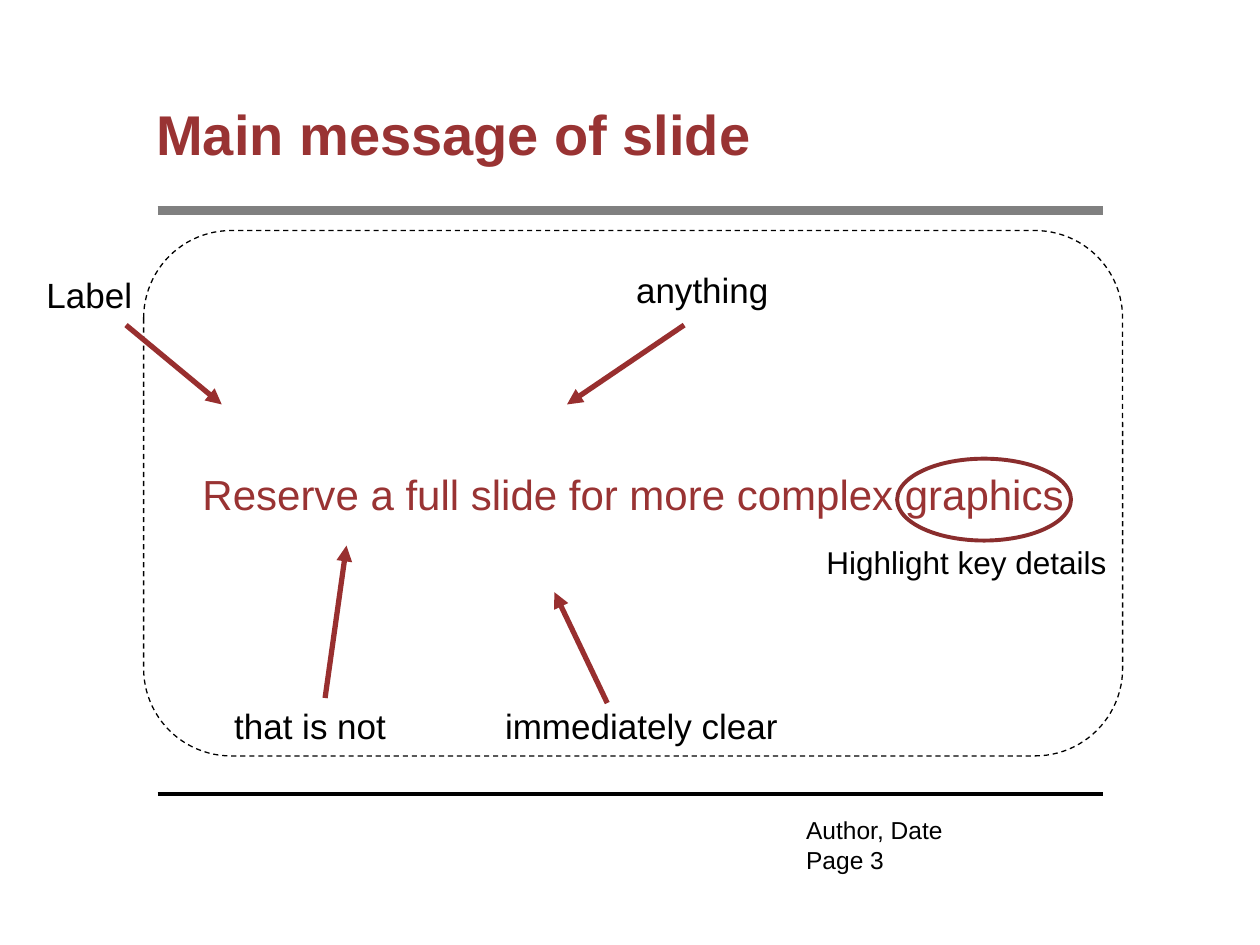
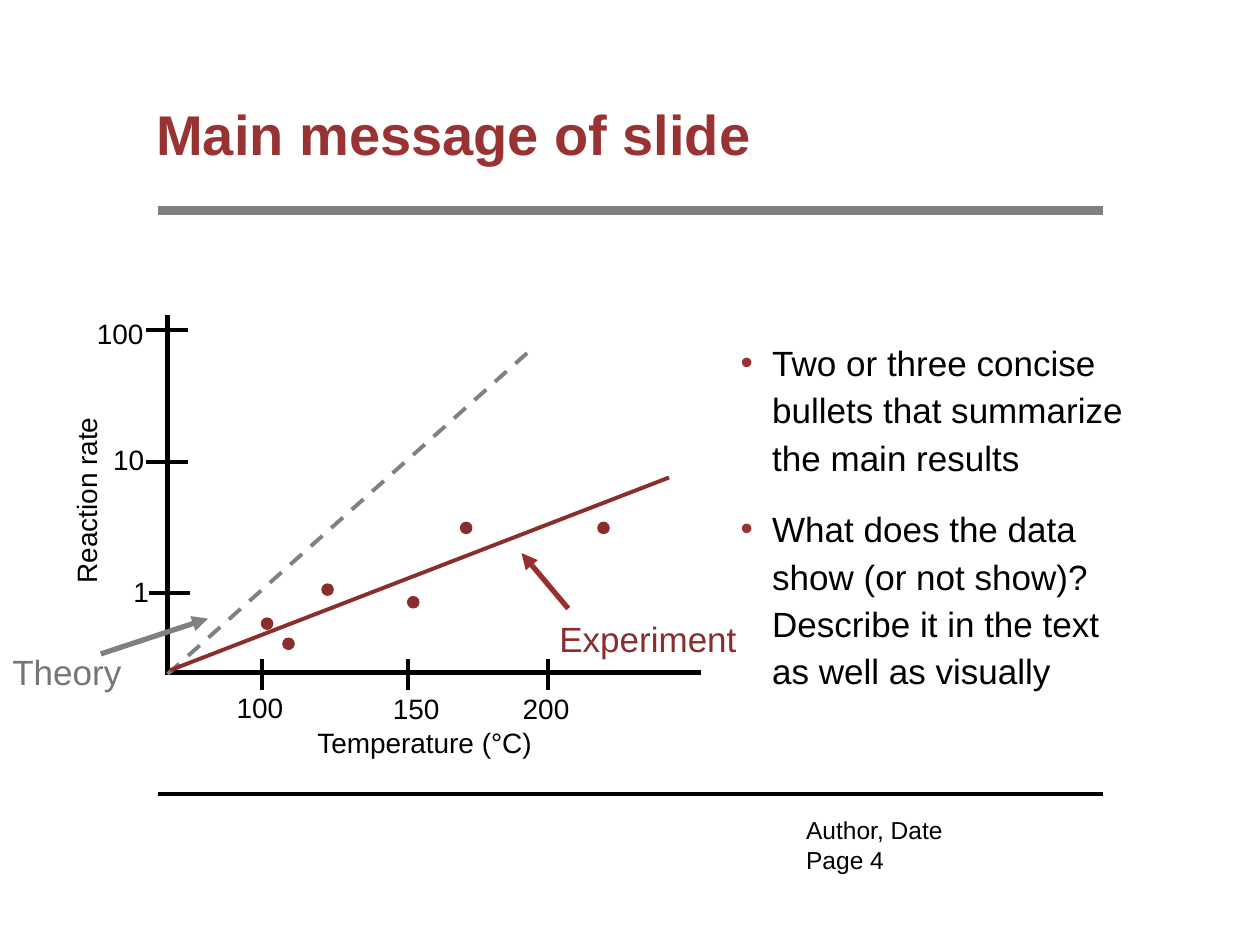
from dataclasses import dataclass

from lxml.etree import SubElement
from pptx import Presentation
from pptx.dml.color import RGBColor
from pptx.enum.dml import MSO_LINE_DASH_STYLE as Dash
from pptx.enum.shapes import MSO_CONNECTOR as Connector, MSO_SHAPE as Shape
from pptx.enum.text import MSO_ANCHOR as Anchor, MSO_AUTO_SIZE as AutoSize, PP_ALIGN as Align
from pptx.oxml.ns import qn
from pptx.util import Inches, Pt


@dataclass(frozen=True)
class Theme:
    """Colours, font and sizes shared by all slides."""
    font: str = "Arial"
    black: str = "000000"
    white: str = "FFFFFF"
    accent: str = "993333"
    arrow: str = "982F2F"
    detail: str = "8A2D2D"
    grey: str = "808080"
    grey_text: str = "767676"
    title_size: int = 32
    message_size: int = 24
    body_size: int = 20
    caption_size: int = 18
    axis_size: int = 16
    footer_size: int = 14
    heavy: float = 3
    medium: float = 2.25


class Deck:
    """Holds the presentation, its theme and the slide being drawn."""

    def __init__(self, theme):
        """Start an empty 10 by 7.5 inch presentation."""
        self.theme = theme
        self.presentation = Presentation()
        self.presentation.slide_width = Inches(10)
        self.presentation.slide_height = Inches(7.5)
        self.slide = self.canvas = None

    def new_slide(self, title, page):
        """Add a slide with its title, two rules and footer."""
        theme = self.theme
        layout = self.presentation.slide_layouts[5]
        self.slide = self.presentation.slides.add_slide(layout)
        self.canvas = self.slide.shapes
        self.line((1.25, 6.3), (8.75, 6.3), theme.black, 2)
        self.line((1.25, 1.67), (8.75, 1.67), theme.grey, 5)
        self.paragraphs((6.3, 6.42, 2.86, 0.5), ["Author, Date", f"Page {page}"],
                        theme.footer_size)
        self.title(title)

    def title(self, wording):
        """Place and format the title placeholder."""
        heading = self.slide.shapes.title
        heading.left, heading.top, heading.width, heading.height = map(
            Inches, (1.14, 0.67, 7.77, 0.75))
        frame = heading.text_frame
        frame.auto_size = AutoSize.NONE
        frame.vertical_anchor = Anchor.MIDDLE
        paragraph = frame.paragraphs[0]
        paragraph.alignment = Align.LEFT
        paragraph.line_spacing = Pt(40)
        self.run(paragraph, wording, self.theme.title_size, self.theme.accent, bold=True)

    def start_group(self):
        """Send the following elements into a new group."""
        self.canvas = self.slide.shapes.add_group_shape().shapes

    def run(self, paragraph, wording, size, color, bold=False):
        """Append one formatted run to a paragraph."""
        run = paragraph.add_run()
        run.text = wording
        run.font.name = self.theme.font
        run.font.size = Pt(size)
        run.font.bold = bold
        run.font.color.rgb = RGBColor.from_string(color)

    def paragraphs(self, box, wordings, size, bulleted=False):
        """Add a wrapping text box with one paragraph per wording."""
        frame = self.canvas.add_textbox(*map(Inches, box)).text_frame
        frame.word_wrap = True
        for index, wording in enumerate(wordings):
            paragraph = frame.add_paragraph() if index else frame.paragraphs[0]
            if bulleted:
                self.bullet(paragraph)
            self.run(paragraph, wording, size, self.theme.black)

    def bullet(self, paragraph):
        """Give a paragraph its bullet, hanging indent and spacing."""
        paragraph.line_spacing = Pt(27)
        paragraph.space_after = Pt(14)
        properties = paragraph._p.get_or_add_pPr()
        properties.set("marL", str(Inches(0.25)))
        properties.set("indent", str(Inches(-0.25)))
        color = SubElement(properties, qn("a:buClr"))
        SubElement(color, qn("a:srgbClr")).set("val", self.theme.accent)
        SubElement(properties, qn("a:buFont")).set("typeface", self.theme.font)
        SubElement(properties, qn("a:buChar")).set("char", "\u2022")

    def label(self, box, wording, size, color=None, upward=False):
        """Add a one-line label, optionally reading upward."""
        frame = self.canvas.add_textbox(*map(Inches, box)).text_frame
        frame.word_wrap = False
        frame.auto_size = AutoSize.SHAPE_TO_FIT_TEXT
        if upward:
            frame._txBody.bodyPr.set("vert", "vert270")
        self.run(frame.paragraphs[0], wording, size, color or self.theme.black)

    def line(self, start, end, color, width, dash=None, arrow=False):
        """Draw a straight line, with an arrowhead at its end if asked."""
        connector = self.canvas.add_connector(
            Connector.STRAIGHT, *map(Inches, (*start, *end)))
        connector.line.color.rgb = RGBColor.from_string(color)
        connector.line.width = Pt(width)
        if dash:
            connector.line.dash_style = dash
        if arrow:
            outline = connector.line._get_or_add_ln()
            SubElement(outline, qn("a:tailEnd")).set("type", "triangle")
        SubElement(connector._element.spPr, qn("a:effectLst"))

    def arrow(self, start, end, color=None):
        """Draw a heavy pointer."""
        self.line(start, end, color or self.theme.arrow, self.theme.heavy, arrow=True)

    def shape(self, kind, box, fill=None, color=None, width=1, dash=None):
        """Add a preset shape and return it."""
        shape = self.canvas.add_shape(kind, *map(Inches, box))
        shape.shadow.inherit = False
        if fill:
            shape.fill.solid()
            shape.fill.fore_color.rgb = RGBColor.from_string(fill)
        else:
            shape.fill.background()
        if color:
            shape.line.color.rgb = RGBColor.from_string(color)
            shape.line.width = Pt(width)
            if dash:
                shape.line.dash_style = dash
        else:
            shape.line.fill.background()
        return shape


def build_graphic_slide(deck):
    """Full-slide graphic with labels, pointers and a highlight."""
    theme = deck.theme
    deck.new_slide("Main message of slide", 3)
    panel = deck.shape(Shape.ROUNDED_RECTANGLE, (1.14, 1.83, 7.77, 4.17),
                       theme.white, theme.black, 0.75, Dash.DASH)
    panel.text_frame.vertical_anchor = Anchor.MIDDLE
    message = panel.text_frame.paragraphs[0]
    message.alignment = Align.CENTER
    deck.run(message, "Reserve a full slide for more complex graphics",
             theme.message_size, theme.accent)

    callouts = [
        ("Label", (0.27, 2.12, 0.89, 0.44), (1, 2.58), (1.76, 3.21)),
        ("anything", (4.95, 2.08, 1.26, 0.44), (5.43, 2.58), (4.5, 3.21)),
        ("that is not", (1.76, 5.54, 1.42, 0.44), (2.58, 5.54), (2.75, 4.33)),
        ("immediately clear", (3.91, 5.54, 2.38, 0.44), (4.82, 5.58), (4.4, 4.7)),
    ]
    for wording, box, start, end in callouts:
        deck.arrow(start, end)
        deck.label(box, wording, theme.body_size)

    deck.shape(Shape.OVAL, (7.12, 3.64, 1.38, 0.65), color=theme.detail, width=theme.medium)
    deck.label((6.46, 4.26, 2.45, 0.4), "Highlight key details", theme.caption_size)


def build_results_slide(deck):
    """Sketched plot of theory and experiment beside two bullets."""
    theme = deck.theme
    deck.new_slide("Main message of slide", 4)
    deck.paragraphs((5.78, 2.62, 3.39, 3.66), [
        "Two or three concise bullets that summarize the main results",
        "What does the data show (or not show)? Describe it in the text as well as visually",
    ], theme.body_size, bulleted=True)

    deck.start_group()
    deck.label((0, 5.11, 1.07, 0.44), "Theory", theme.body_size, theme.grey_text)
    deck.line((1.33, 5.35), (1.33, 2.5), theme.black, theme.heavy)
    deck.line((1.31, 5.34), (5.56, 5.34), theme.black, theme.heavy)
    deck.arrow((0.8, 5.19), (1.65, 4.91), theme.grey)
    deck.line((1.33, 5.35), (4.22, 2.77), theme.grey, theme.medium, Dash.DASH)
    deck.line((1.35, 5.32), (5.31, 3.79), theme.detail, theme.medium)

    measurements = [(2.07, 4.9), (2.24, 5.06), (2.55, 4.63),
                    (3.23, 4.73), (3.65, 4.14), (4.74, 4.14)]
    for left, top in measurements:
        deck.shape(Shape.OVAL, (left, top, 0.1, 0.1), theme.detail)
    deck.arrow((4.51, 4.83), (4.14, 4.39))
    deck.label((4.34, 4.85, 1.62, 0.44), "Experiment", theme.body_size, theme.detail)

    rate_ticks = [("100", 1.16, 2.62, (0.67, 2.46, 0.58, 0.37)),
                  ("10", 1.16, 3.67, (0.8, 3.46, 0.45, 0.37)),
                  ("1", 1.18, 4.71, (0.96, 4.51, 0.33, 0.37))]
    for value, left, y, box in rate_ticks:
        deck.line((left, y), (left + 0.33, y), theme.black, theme.medium)
        deck.label(box, value, theme.axis_size)

    temperature_ticks = [("100", 2.08, 1.78, 5.43), ("150", 3.24, 3.02, 5.44),
                         ("200", 4.35, 4.05, 5.44)]
    for value, x, left, top in temperature_ticks:
        deck.line((x, 5.23), (x, 5.48), theme.black, theme.medium)
        deck.label((left, top, 0.58, 0.37), value, theme.axis_size)

    deck.label((2.42, 5.71, 1.91, 0.37), "Temperature (°C)", theme.axis_size)
    deck.label((0.5, 3.29, 0.47, 1.44), "Reaction rate", theme.axis_size, upward=True)


def main():
    """Build both slides and save them."""
    deck = Deck(Theme())
    build_graphic_slide(deck)
    build_results_slide(deck)
    deck.presentation.save("out.pptx")


main()
